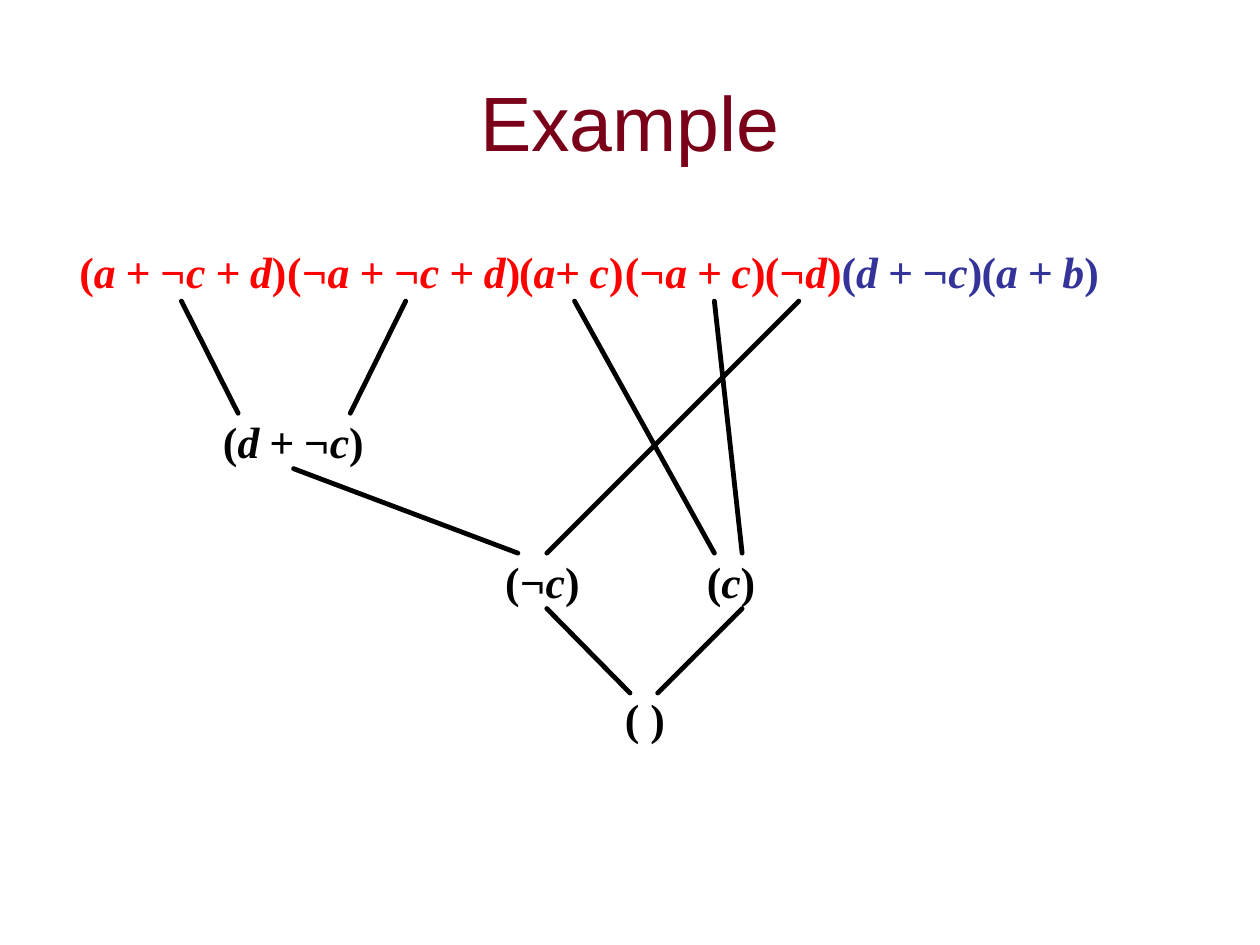
from itertools import groupby

from pptx import Presentation
from pptx.dml.color import RGBColor
from pptx.enum.shapes import MSO_CONNECTOR
from pptx.enum.text import MSO_ANCHOR, PP_ALIGN
from pptx.oxml.ns import qn
from pptx.util import Inches, Pt

TITLE = "Example"
MAROON, RED, BLUE, BLACK = "7A0019", "FF0000", "333399", "000000"

CLAUSE_TOP = 1.94
CLAUSES = [
    ("(a + ¬c + d)", 0.63, RED),
    ("(¬a + ¬c + d)", 2.28, RED),
    ("(a+ c)", 4.12, RED),
    ("(¬a + c)", 4.96, RED),
    ("(¬d)", 6.07, RED),
    ("(d + ¬c)", 6.68, BLUE),
    ("(a + b)", 7.79, BLUE),
]
RESOLVENTS = [
    ("(d + ¬c)", 1.77, 3.29),
    ("(¬c)", 4.01, 4.4),
    ("(c)", 5.61, 4.4),
    ("( )", 4.96, 5.49),
]
RESOLUTION_LINES = [
    ((1.44, 2.39), (1.89, 3.28)),
    ((3.22, 2.39), (2.78, 3.28)),
    ((2.33, 3.72), (4.11, 4.39)),
    ((6.34, 2.39), (4.34, 4.39)),
    ((4.56, 2.39), (5.67, 4.39)),
    ((5.67, 2.39), (5.89, 4.39)),
    ((4.34, 4.83), (5, 5.5)),
    ((5.89, 4.83), (5.22, 5.5)),
]
CLAUSE_HEIGHT = 0.42
CHARACTER_WIDTH = 0.18


def color(value):
    return RGBColor.from_string(value)


def add_run(paragraph, text, font_name, size, fill):
    run = paragraph.add_run()
    run.text = text
    run.font.name = font_name
    run.font.size = Pt(size)
    run.font.color.rgb = color(fill)
    return run


def add_title(slide):
    shape = slide.shapes.add_textbox(Inches(0.75), Inches(0.33), Inches(8.5), Inches(1.25))
    frame = shape.text_frame
    frame.word_wrap = True
    frame.vertical_anchor = MSO_ANCHOR.MIDDLE
    paragraph = frame.paragraphs[0]
    paragraph.alignment = PP_ALIGN.CENTER
    add_run(paragraph, TITLE, "Arial", 44, MAROON)


def add_clause(slide, text, left, top, fill):
    shape = slide.shapes.add_textbox(
        Inches(left), Inches(top), Inches(len(text) * CHARACTER_WIDTH), Inches(CLAUSE_HEIGHT))
    frame = shape.text_frame
    frame.word_wrap = False
    frame.margin_left = frame.margin_right = frame.margin_top = frame.margin_bottom = 0
    paragraph = frame.paragraphs[0]
    paragraph.alignment = PP_ALIGN.LEFT
    for is_bracket, characters in groupby(text, lambda character: character in "()"):
        run = add_run(paragraph, "".join(characters), "Times New Roman", 25, fill)
        run.font.bold = True
        run.font.italic = not is_bracket
        run._r.get_or_add_rPr().set("spc", "-30")


def add_line(slide, start, end):
    line = slide.shapes.add_connector(
        MSO_CONNECTOR.STRAIGHT, *(Inches(value) for value in start + end))
    line.line.color.rgb = color(BLACK)
    line.line.width = Pt(2.75)
    properties = line._element.spPr
    properties.find(qn("a:ln")).set("cap", "rnd")
    properties.append(properties.makeelement(qn("a:effectLst"), {}))


def main():
    presentation = Presentation()
    presentation.slide_width = Inches(10)
    presentation.slide_height = Inches(7.5)
    slide = presentation.slides.add_slide(presentation.slide_layouts[6])
    add_title(slide)
    for text, left, fill in CLAUSES:
        add_clause(slide, text, left, CLAUSE_TOP, fill)
    for text, left, top in RESOLVENTS:
        add_clause(slide, text, left, top, BLACK)
    for start, end in RESOLUTION_LINES:
        add_line(slide, start, end)
    presentation.save("out.pptx")


if __name__ == "__main__":
    main()
